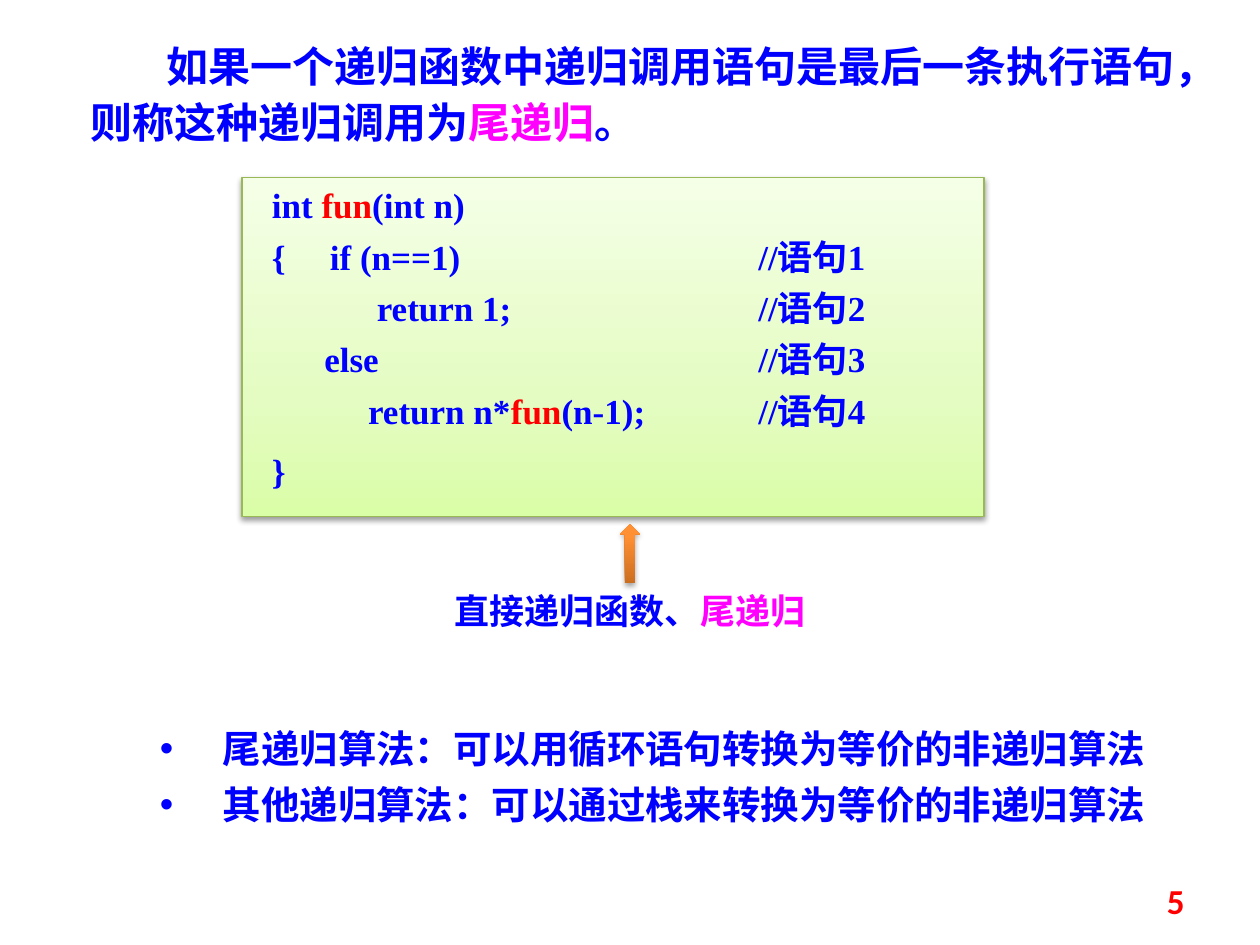
from dataclasses import dataclass

from lxml.etree import SubElement
from pptx import Presentation
from pptx.dml.color import RGBColor as Color
from pptx.enum.shapes import MSO_SHAPE as Shape
from pptx.enum.text import MSO_ANCHOR as Anchor, PP_ALIGN as Align
from pptx.oxml.ns import qn
from pptx.util import Inches, Pt


@dataclass(frozen=True)
class Theme:
    """Colours, fonts and type sizes of the slide."""
    text: str = "0000FF"
    term: str = "FF00FF"
    call: str = "FF0000"
    border: str = "98B955"
    panel: tuple = ((0, "DAFDA7"), (35, "E4FCC2"), (100, "F5FFE7"))
    arrow: tuple = ((0, "CC6E20"), (80, "FF9034"), (100, "FF9136"))
    serif: str = "Times New Roman"
    cjk: str = "Noto Sans CJK SC"
    number: str = "Calibri"
    lead: int = 24
    bullet: int = 22
    body: int = 20


THEME = Theme()
WIDTH, HEIGHT = Inches(10), Inches(7.5)
CODE = (
    (("  int ",), ("fun", THEME.call), ("(int n)",)),
    (("  {\tif (n==1)\t//语句1",),),
    (("              return 1;\t//语句2",),),
    (("        else\t//语句3",),),
    (("             return n*",), ("fun", THEME.call), ("(n-1);\t//语句4",)),
    (("  }",),),
)
BULLETS = (
    "尾递归算法：可以用循环语句转换为等价的非递归算法",
    "其他递归算法：可以通过栈来转换为等价的非递归算法",
)


def place(left, top, width, height):
    """Turn percentages of the slide into lengths."""
    return (int(WIDTH * left / 100), int(HEIGHT * top / 100),
            int(WIDTH * width / 100), int(HEIGHT * height / 100))


def add_text_box(page, area, anchor=Anchor.TOP):
    """Add a wrapping text box and return its text frame."""
    frame = page.shapes.add_textbox(*place(*area)).text_frame
    frame.word_wrap = True
    frame.vertical_anchor = anchor
    return frame


def next_paragraph(frame, index):
    """Return the first paragraph or append another one."""
    return frame.add_paragraph() if index else frame.paragraphs[0]


def set_indent(para, margin, first):
    """Set the left margin and first-line indent in inches."""
    props = para._p.get_or_add_pPr()
    props.set("marL", str(Inches(margin)))
    props.set("indent", str(Inches(first)))
    return props


def add_tabs(para, stops):
    """Set left tab stops in inches."""
    tabs = SubElement(para._p.get_or_add_pPr(), qn("a:tabLst"))
    for stop in stops:
        SubElement(tabs, qn("a:tab"), pos=str(Inches(stop)), algn="l")


def write(para, spans, size, name=THEME.serif, color=THEME.text):
    """Write spans, each a text with an optional accent colour."""
    font = para.font
    font.name, font.size, font.bold = name, Pt(size), True
    font.color.rgb = Color.from_string(color)
    for text, *accent in spans:
        span = para.add_run()
        span.text = text
        if accent:
            span.font.color.rgb = Color.from_string(accent[0])


def add_glowing_shape(page, kind, area, stops, shadow_alpha):
    """Add a shape with an upward gradient and a soft shadow below."""
    shape = page.shapes.add_shape(kind, *place(*area))
    shape.fill.gradient()
    shape.fill.gradient_angle = 90
    shape.line.fill.background()
    shape.shadow.inherit = False
    props = shape._element.spPr
    stop_list = props.find(".//" + qn("a:gsLst"))
    stop_list.clear()
    for position, color in stops:
        stop = SubElement(stop_list, qn("a:gs"), pos=str(position * 1000))
        SubElement(stop, qn("a:srgbClr"), val=color)
    shadow = SubElement(props.find(qn("a:effectLst")), qn("a:outerShdw"),
                        blurRad=str(Pt(3.1)), dist=str(Pt(1.7)),
                        dir="5400000", rotWithShape="0")
    black = SubElement(shadow, qn("a:srgbClr"), val="000000")
    SubElement(black, qn("a:alpha"), val=str(shadow_alpha * 1000))
    return shape


def add_code_panel(page):
    """Add the listing with its comments on a common tab stop."""
    panel = add_glowing_shape(page, Shape.RECTANGLE,
                              (19.2, 18.8, 58.9, 35.87), THEME.panel, 38)
    panel.line.color.rgb = Color.from_string(THEME.border)
    panel.line.width = Pt(0.75)
    frame = panel.text_frame
    frame.word_wrap = True
    frame.vertical_anchor = Anchor.TOP
    for index, spans in enumerate(CODE):
        para = next_paragraph(frame, index)
        para.alignment = Align.LEFT
        if index:
            para.line_spacing = Pt(29.3)
        if index == len(CODE) - 1:
            para.space_before = Pt(5)
        add_tabs(para, (0.6, 4))
        write(para, spans, THEME.body)


def add_bullets(page):
    """Add the bulleted conclusions."""
    frame = add_text_box(page, (11.7, 75.07, 81.3, 12.8))
    for index, text in enumerate(BULLETS):
        para = next_paragraph(frame, index)
        para.line_spacing = Pt(32)
        props = set_indent(para, 0.5, -0.5)
        SubElement(props, qn("a:buFont"), typeface="Arial")
        SubElement(props, qn("a:buChar"), char="•")
        write(para, ((text,),), THEME.bullet, THEME.cjk)


def main():
    """Build and save the slide."""
    deck = Presentation()
    deck.slide_width, deck.slide_height = WIDTH, HEIGHT
    page = deck.slides.add_slide(deck.slide_layouts[6])

    lead = add_text_box(page, (6.2, 3.07, 89.1, 13.33)).paragraphs[0]
    lead.line_spacing = Pt(32)
    set_indent(lead, 0, 0.6)
    write(lead, (("如果一个递归函数中递归调用语句是最后一条执行语句，则称这种递归调用为",),
                 ("尾递归", THEME.term), ("。",)), THEME.lead)

    add_code_panel(page)
    caption = add_text_box(page, (33.6, 61.73, 32.8, 5.87)).paragraphs[0]
    caption.alignment = Align.CENTER
    write(caption, (("直接递归函数、",), ("尾递归", THEME.term)), THEME.body)
    add_glowing_shape(page, Shape.UP_ARROW, (49.2, 55.47, 1.6, 6.27),
                      THEME.arrow, 35)

    number = add_text_box(page, (71.7, 92.67, 23.3, 5.33),
                          Anchor.MIDDLE).paragraphs[0]
    number.alignment = Align.RIGHT
    write(number, (("5",),), THEME.body, THEME.number, THEME.call)
    add_bullets(page)
    deck.save("out.pptx")


if __name__ == "__main__":
    main()
